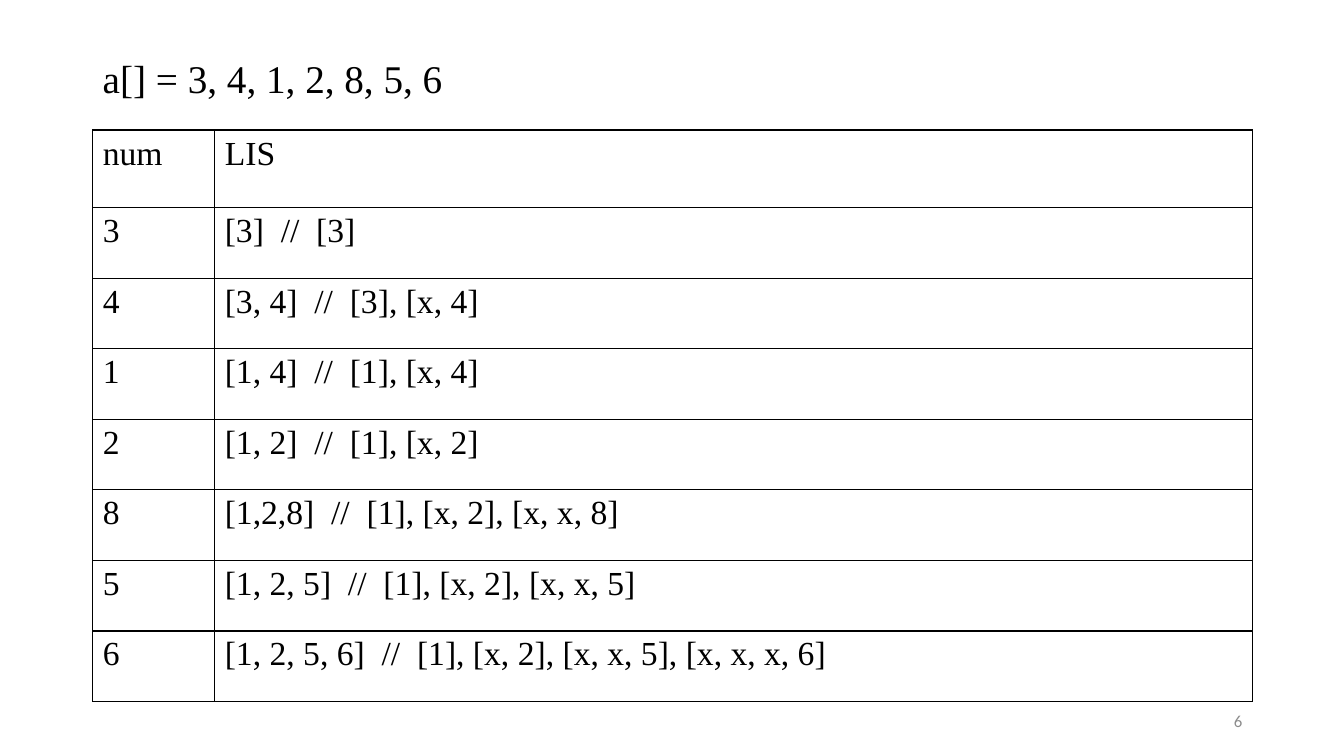
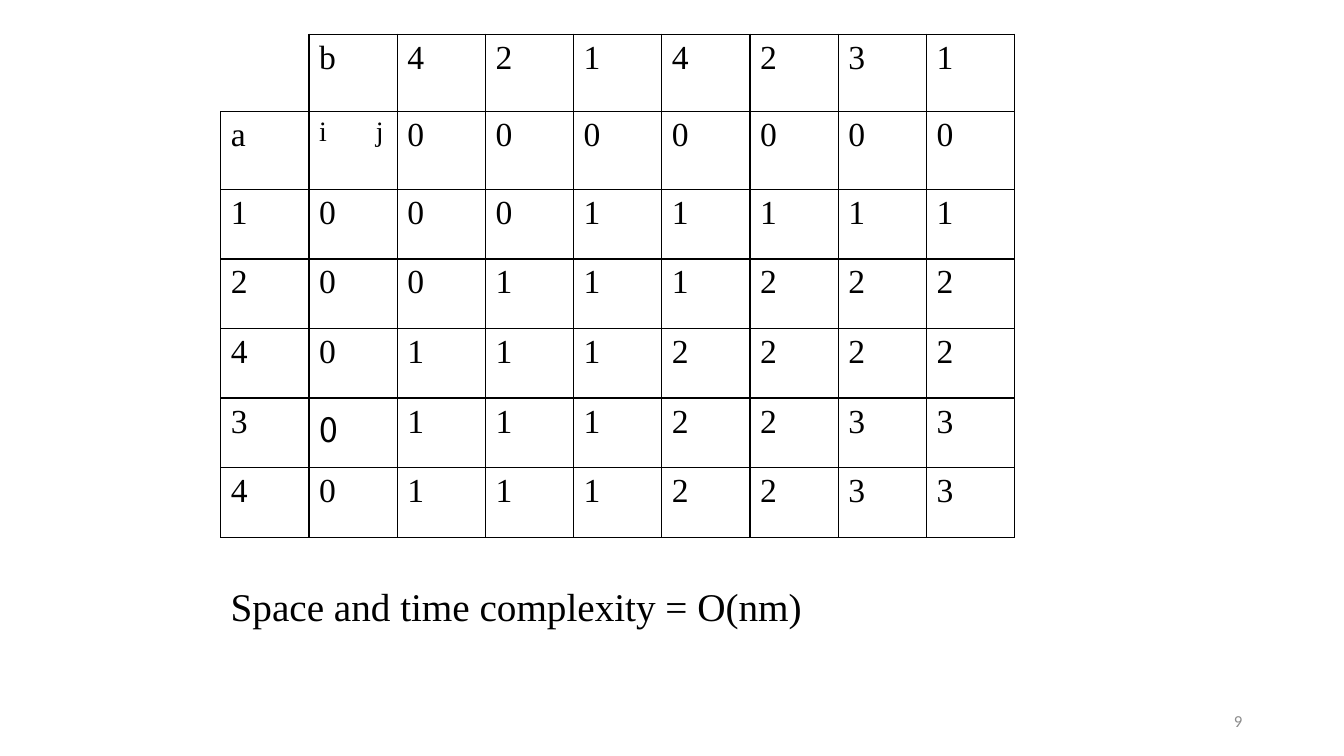
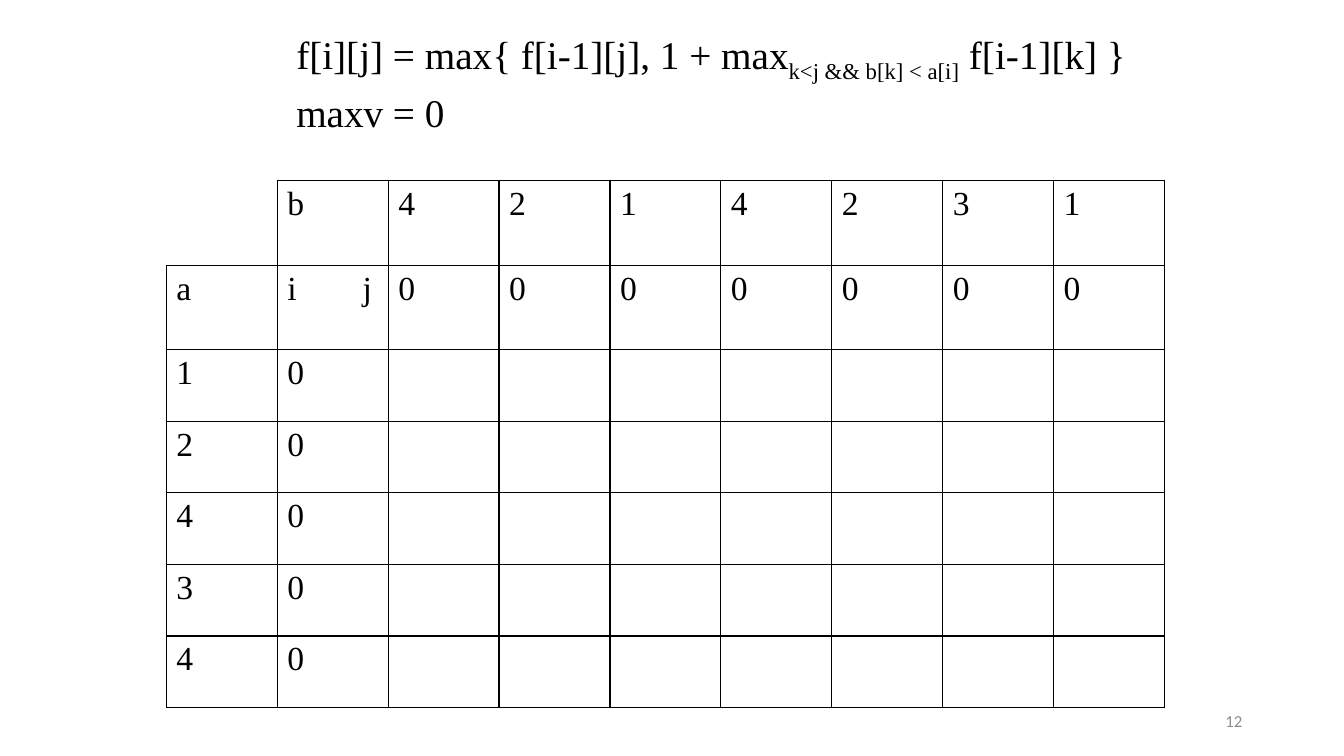
from dataclasses import dataclass

from lxml import etree
from pptx import Presentation
from pptx import util as u
from pptx.dml import color as clr
from pptx.enum import text as txt
from pptx.oxml import ns


# Theme: colours, fonts and type sizes
@dataclass(frozen=True)
class Theme:
    ink: str = "000000"
    grey: str = "8C8C8C"
    serif: str = "Times New Roman"
    sans: str = "Calibri"
    wide: str = "Noto Sans CJK SC"
    head: float = 28
    cell: float = 24
    small: float = 20
    foot: float = 12
    rule: float = 1


T = Theme()


@dataclass(frozen=True)
class Run:
    text: str
    size: float = T.head
    font: str = T.serif
    tint: str = T.ink
    shift: int = 0  # baseline shift in percent


@dataclass(frozen=True)
class Box:
    left: float
    top: float
    width: float
    height: float


@dataclass(frozen=True)
class Grid:
    left: float
    top: float
    cols: list[float]
    rows: list[float]
    cells: list[list[str | Run]]
    tab: float = 0  # right tab stop inside a cell
    notch: bool = False  # top-left cell open on its outer sides


# Text
def add_run(para, part: Run) -> None:
    run = para.add_run()
    run.text = part.text
    run.font.size = u.Pt(part.size)
    run.font.name = part.font
    run.font.color.rgb = clr.RGBColor.from_string(part.tint)
    if part.shift:
        run.font._element.set("baseline", str(part.shift * 1000))


def add_text(slide, box: Box, paras: list[list[Run]], line: float = 1,
             align=txt.PP_ALIGN.LEFT, anchor=txt.MSO_ANCHOR.TOP) -> None:
    shape = slide.shapes.add_textbox(u.Inches(box.left), u.Inches(box.top),
                                     u.Inches(box.width), u.Inches(box.height))
    frame = shape.text_frame
    frame.word_wrap = True
    frame.vertical_anchor = anchor
    for i, parts in enumerate(paras):
        para = frame.add_paragraph() if i else frame.paragraphs[0]
        para.alignment = align
        para.line_spacing = line
        if i:
            para.space_before = u.Pt(10)
        for part in parts:
            add_run(para, part)


def add_foot(slide, num: int) -> None:
    add_text(slide, Box(9.42, 6.95, 3, 0.4),
             [[Run(str(num), T.foot, T.sans, T.grey)]],
             align=txt.PP_ALIGN.RIGHT, anchor=txt.MSO_ANCHOR.MIDDLE)


# Tables
def add_rules(cell, sides: str) -> None:
    props = cell._tc.get_or_add_tcPr()
    for side in "LRTB":
        line = etree.SubElement(props, ns.qn(f"a:ln{side}"),
                                w=str(u.Pt(T.rule)))
        if side in sides:
            fill = etree.SubElement(line, ns.qn("a:solidFill"))
            etree.SubElement(fill, ns.qn("a:srgbClr"), val=T.ink)
        else:
            etree.SubElement(line, ns.qn("a:noFill"))
    cell.fill.background()


def add_tab(para, place: float) -> None:
    stops = etree.SubElement(para._p.get_or_add_pPr(), ns.qn("a:tabLst"))
    etree.SubElement(stops, ns.qn("a:tab"),
                     pos=str(u.Inches(place)), algn="r")


def add_grid(slide, grid: Grid) -> None:
    frame = slide.shapes.add_table(
        len(grid.rows), len(grid.cols), u.Inches(grid.left),
        u.Inches(grid.top), u.Inches(sum(grid.cols)),
        u.Inches(sum(grid.rows)))
    table = frame.table
    table.first_row = table.horz_banding = False
    for col, width in zip(table.columns, grid.cols):
        col.width = u.Inches(width)
    for row, height in zip(table.rows, grid.rows):
        row.height = u.Inches(height)
    for r, items in enumerate(grid.cells):
        for c, item in enumerate(items):
            cell = table.cell(r, c)
            add_rules(cell, "RB" if grid.notch and r == c == 0 else "LRTB")
            part = item if isinstance(item, Run) else Run(item, T.cell)
            para = cell.text_frame.paragraphs[0]
            if "\t" in part.text:
                add_tab(para, grid.tab)
            if part.text:
                add_run(para, part)


# Content shared by the two matrix slides
TOP = ["", "b", *"4214231"]
SIDE = "12434"
ZEROS = ["0"] * 7

STEPS = [
    ("num", "LIS"),
    ("3", "[3]  //  [3]"),
    ("4", "[3, 4]  //  [3], [x, 4]"),
    ("1", "[1, 4]  //  [1], [x, 4]"),
    ("2", "[1, 2]  //  [1], [x, 2]"),
    ("8", "[1,2,8]  //  [1], [x, 2], [x, x, 8]"),
    ("5", "[1, 2, 5]  //  [1], [x, 2], [x, x, 5]"),
    ("6", "[1, 2, 5, 6]  //  [1], [x, 2], [x, x, 5], [x, x, x, 6]"),
]


# Slides
def draw_steps(slide) -> None:
    add_grid(slide, Grid(0.92, 1.29, [1.21, 10.29], [0.77] + [0.7] * 7,
                         [list(step) for step in STEPS]))
    add_foot(slide, 6)
    add_text(slide, Box(0.92, 0.54, 6.12, 0.53),
             [[Run("a[] = 3, 4, 1, 2, 8, 5, 6")]], line=0.9)


def draw_filled(slide) -> None:
    sums = ["0011111", "0111222", "1112222", "1112233", "1112233"]
    body = [[a, "0", *row] for a, row in zip(SIDE, sums)]
    body[3][1] = Run("0", T.cell, T.wide)
    cells = [TOP, ["a", Run("i\tj", T.small), *ZEROS], *body]
    add_grid(slide, Grid(2.19, 0.34, [0.875] * 9, [0.77] * 2 + [0.69] * 5,
                         cells, tab=0.64, notch=True))
    add_foot(slide, 9)
    add_text(slide, Box(2.19, 5.73, 7.87, 0.57),
             [[Run("Space and time complexity = O(nm)")]])


def draw_blank(slide) -> None:
    body = [[a, "0", *[""] * 7] for a in SIDE]
    cells = [TOP, ["a", "i\tj", *ZEROS], *body]
    add_grid(slide, Grid(1.65, 1.79, [1.1] * 9, [0.84] * 2 + [0.71] * 5,
                         cells, tab=0.84, notch=True))
    add_foot(slide, 12)
    add_text(slide, Box(2.84, 0.26, 10.12, 1.09), [
        [Run("f[i][j] = max{ f[i-1][j], 1 + max"),
         Run("k<j && b[k] < a[i]", shift=-25),
         Run(" f[i-1][k] }")],
        [Run("maxv = 0")],
    ], line=0.9)


def main() -> None:
    deck = Presentation()
    deck.slide_width = u.Inches(13.33)
    deck.slide_height = u.Inches(7.5)
    for draw in (draw_steps, draw_filled, draw_blank):
        draw(deck.slides.add_slide(deck.slide_layouts[6]))
    deck.save("out.pptx")


if __name__ == "__main__":
    main()
